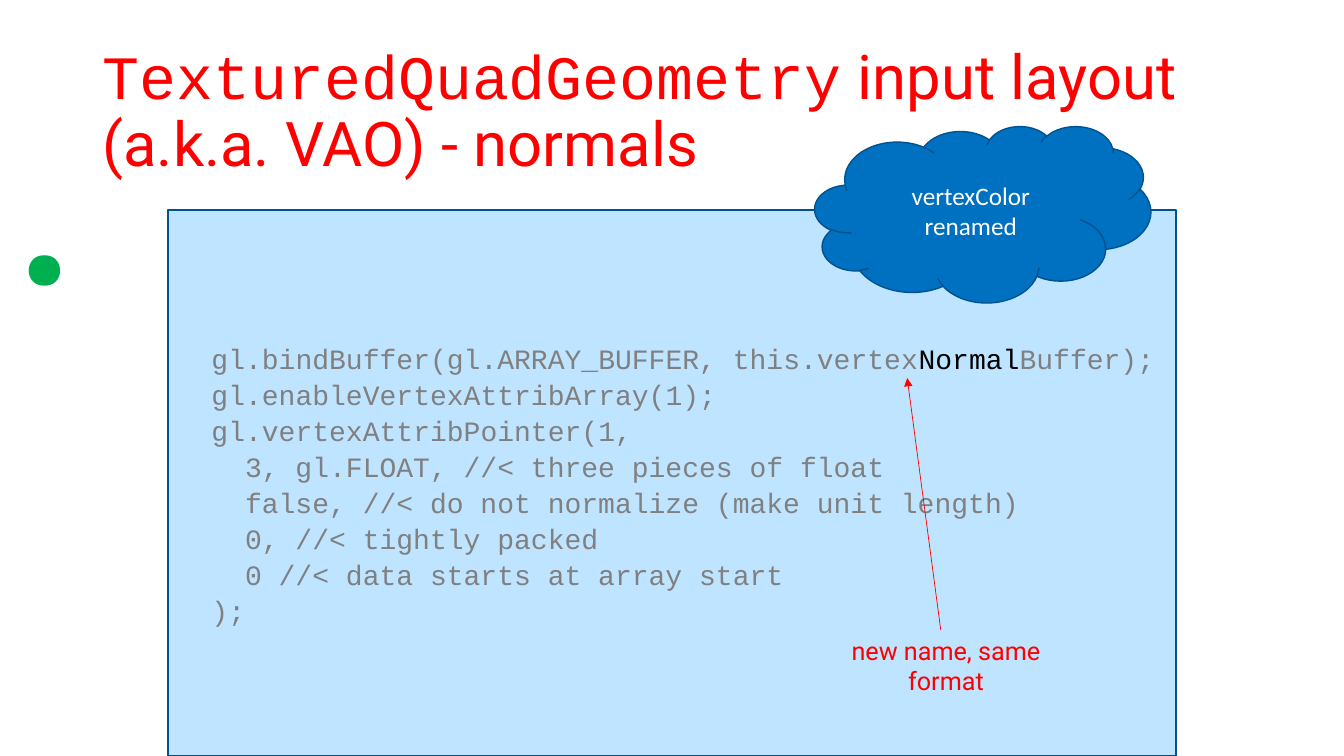
from lxml import etree
from pptx import Presentation
from pptx.dml.color import RGBColor
from pptx.enum.shapes import MSO_CONNECTOR, MSO_SHAPE
from pptx.enum.text import MSO_ANCHOR, PP_ALIGN
from pptx.oxml.ns import qn
from pptx.util import Pt

RECTANGLE, CLOUD = MSO_SHAPE.RECTANGLE, MSO_SHAPE.CLOUD
STRAIGHT = MSO_CONNECTOR.STRAIGHT
TOP, MIDDLE = MSO_ANCHOR.TOP, MSO_ANCHOR.MIDDLE
LEFT, CENTER = PP_ALIGN.LEFT, PP_ALIGN.CENTER

EMU_PER_PX = 9525
TITLE_ONLY = 5
CODE_INDENT = 32
COLORS = {
    "red": "FF0000",
    "green": "00B050",
    "panel": "BFE4FF",
    "outline": "00538E",
    "cloud": "0070C0",
    "muted": "808080",
    "black": "000000",
    "white": "FFFFFF",
}
CODE = [
    (1, [("gl.bindBuffer(gl.ARRAY_BUFFER, this.vertex", "muted"),
         ("Normal", "black"), ("Buffer);", "muted")]),
    (1, [("gl.enableVertexAttribArray(1);", "muted")]),
    (1, [("gl.vertexAttribPointer(1,", "muted")]),
    (2, [("3, gl.FLOAT, //< three pieces of float", "muted")]),
    (2, [("false, //< do not normalize (make unit length)", "muted")]),
    (2, [("0, //< tightly packed", "muted")]),
    (2, [("0 //< data starts at array start", "muted")]),
    (1, [(");", "muted")]),
]


def px(length):
    return length * EMU_PER_PX


def color(name):
    return RGBColor.from_string(COLORS[name])


def apply(target, values):
    for name, value in values.items():
        setattr(target, name, value)


class SlideBuilder:
    def __init__(self, width, height):
        self.deck = Presentation()
        apply(self.deck, {"slide_width": px(width), "slide_height": px(height)})
        layout = self.deck.slide_layouts[TITLE_ONLY]
        self.slide = self.deck.slides.add_slide(layout)
        self.shapes = self.slide.shapes

    def fill_text(self, frame, lines, size, align=LEFT, anchor=TOP, spacing=1.0):
        apply(frame, {"word_wrap": True, "vertical_anchor": anchor})
        for index, (indent, runs) in enumerate(lines):
            paragraph = frame.add_paragraph() if index else frame.paragraphs[0]
            apply(paragraph, {"alignment": align, "line_spacing": spacing})
            paragraph._p.get_or_add_pPr().set("marL", str(px(indent)))
            for text, font, ink in runs:
                run = paragraph.add_run()
                run.text = text
                apply(run.font, {"name": font, "size": Pt(size)})
                run.font.color.rgb = color(ink)

    def title(self, box, runs, size):
        heading = self.shapes.title
        apply(heading, dict(zip(("left", "top", "width", "height"), map(px, box))))
        self.fill_text(heading.text_frame, [(0, runs)], size, anchor=MIDDLE, spacing=0.9)

    def shape(self, kind, box, fill, lines, size, **style):
        body = self.shapes.add_shape(kind, *map(px, box))
        body.shadow.inherit = False
        body.fill.solid()
        body.fill.fore_color.rgb = color(fill)
        body.line.color.rgb = color("outline")
        body.line.width = Pt(1)
        self.fill_text(body.text_frame, lines, size, anchor=MIDDLE, **style)

    def text(self, box, text, size, ink, align=LEFT):
        label = self.shapes.add_textbox(*map(px, box))
        self.fill_text(label.text_frame, [(0, [(text, "Roboto", ink)])], size, align)

    def arrow(self, start, end, ink):
        pointer = self.shapes.add_connector(STRAIGHT, *map(px, start + end))
        pointer.line.color.rgb = color(ink)
        pointer.line.width = Pt(0.5)
        line = pointer.line._get_or_add_ln()
        etree.SubElement(line, qn("a:tailEnd"), type="triangle")
        etree.SubElement(pointer._element.spPr, qn("a:effectLst"))


def main():
    page = SlideBuilder(1280, 720)
    page.title((88, 38, 1104, 139), [
        ("TexturedQuadGeometry", "Courier New", "red"),
        (" input layout (a.k.a. VAO) - normals", "Roboto", "red"),
    ], 44)
    code_lines = [
        (level * CODE_INDENT, [(text, "Courier New", ink) for text, ink in runs])
        for level, runs in CODE
    ]
    page.shape(RECTANGLE, (160, 200, 960, 520), "panel", code_lines, 20, spacing=1.07)
    rename_note = [(0, [("vertexColor renamed", "Calibri", "white")])]
    page.shape(CLOUD, (776, 120, 320, 168), "cloud", rename_note, 18, align=CENTER)
    page.text((777, 600, 248, 38), "new name, same format", 18, "red", CENTER)
    page.arrow((896, 600), (864, 360), "red")
    page.text((0, 0, 55, 333), ".", 200, "green")
    page.deck.save("out.pptx")


if __name__ == "__main__":
    main()
